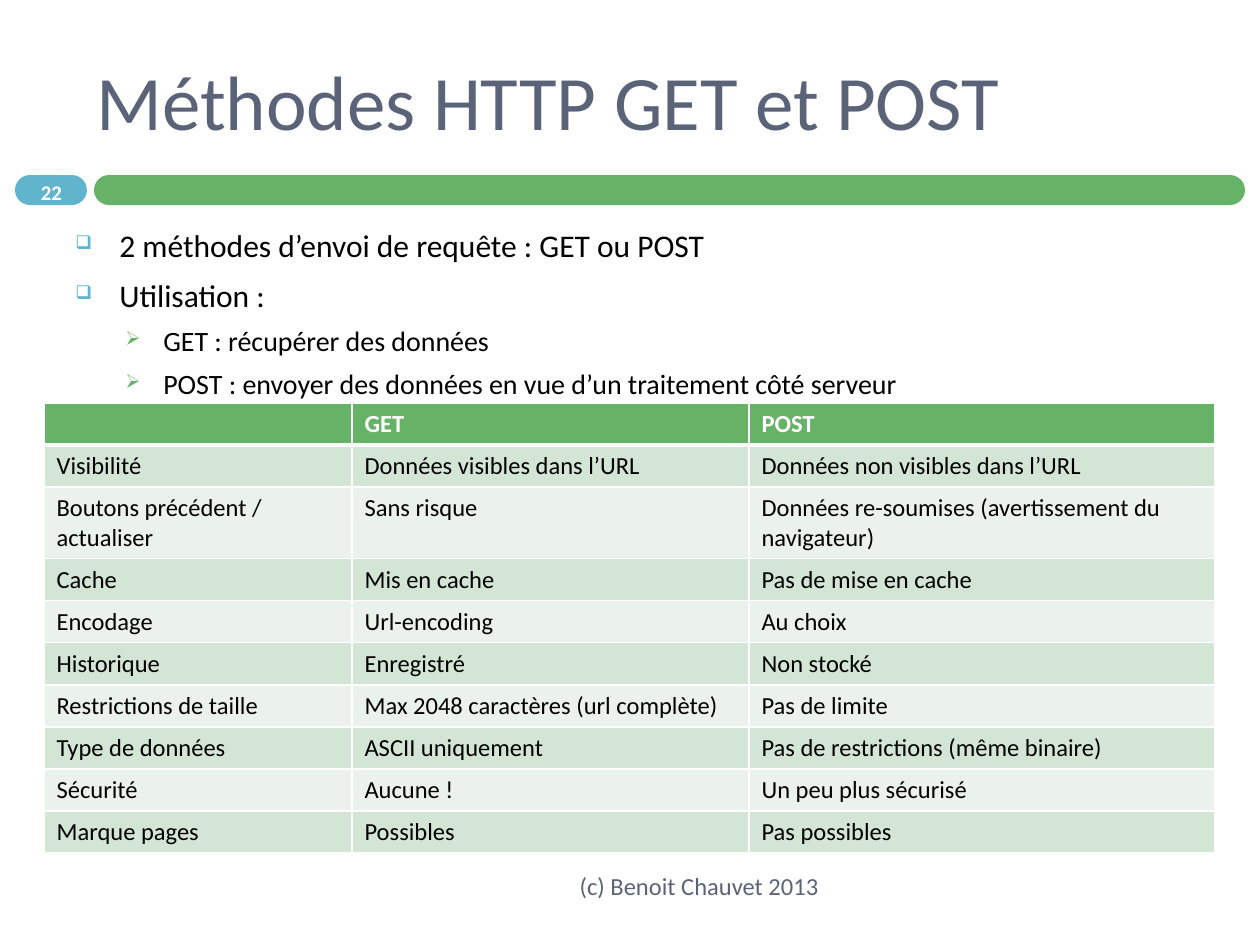
"""Build the slide comparing the HTTP GET and POST methods."""

from dataclasses import dataclass

from lxml.etree import SubElement
from pptx import Presentation
from pptx.dml.color import RGBColor
from pptx.enum.shapes import MSO_SHAPE
from pptx.enum.text import MSO_ANCHOR, PP_ALIGN
from pptx.oxml.ns import qn
from pptx.slide import Slide
from pptx.table import _Cell
from pptx.text.text import TextFrame, _Paragraph
from pptx.util import Emu, Pt

PX_PER_INCH = 126
FONT = "Calibri"
WHITE = RGBColor(0xFF, 0xFF, 0xFF)
BLACK = RGBColor(0, 0, 0)
SLATE = RGBColor(0x5A, 0x63, 0x78)
BLUE = RGBColor(0x60, 0xB5, 0xCC)
GREEN = RGBColor(0x66, 0xB3, 0x68)
BAND_DARK = RGBColor(0xD3, 0xE5, 0xD4)
BAND_LIGHT = RGBColor(0xEA, 0xF2, 0xEB)


@dataclass(frozen=True)
class Box:
    left: int
    top: int
    width: int
    height: int


@dataclass(frozen=True)
class Bar:
    box: Box
    color: RGBColor


@dataclass(frozen=True)
class Label:
    text: str
    box: Box
    size: float
    color: RGBColor
    alignment: PP_ALIGN = PP_ALIGN.LEFT
    bold: bool = False


@dataclass(frozen=True)
class BulletStyle:
    level: int
    symbol: str
    color: RGBColor
    scale: int
    margin: int
    indent: int
    size: int
    space_before: float


BARS = [
    Bar(Box(15, 175, 72, 30), BLUE),
    Bar(Box(94, 175, 1151, 30), GREEN),
]
LABELS = [
    Label("Méthodes HTTP GET et POST", Box(84, 31, 1124, 137), 44, SLATE),
    Label("22", Box(15, 175, 73, 34), 11.9, WHITE, PP_ALIGN.CENTER, True),
    Label("(c) Benoit Chauvet 2013", Box(84, 861, 747, 50), 14, SLATE, PP_ALIGN.RIGHT),
]
MAIN = BulletStyle(0, "❑", BLUE, 60, 44, -44, 18, 7)
DETAIL = BulletStyle(1, "➢", GREEN, 70, 88, -38, 16, 5.5)
BODY_BOX = Box(63, 220, 1134, 183)
BULLETS = [
    ("2 méthodes d’envoi de requête : GET ou POST", MAIN),
    ("Utilisation :", MAIN),
    ("GET : récupérer des données", DETAIL),
    ("POST : envoyer des données en vue d’un traitement côté serveur", DETAIL),
]
TABLE_LEFT, TABLE_TOP, ROW_HEIGHT = 44, 403, 42
COLUMN_WIDTHS = [308, 397, 466]
COMPARISON = [
    ("", "GET", "POST"),
    ("Visibilité", "Données visibles dans l’URL", "Données non visibles dans l’URL"),
    ("Boutons précédent / actualiser", "Sans risque",
     "Données re-soumises (avertissement du navigateur)"),
    ("Cache", "Mis en cache", "Pas de mise en cache"),
    ("Encodage", "Url-encoding", "Au choix"),
    ("Historique", "Enregistré", "Non stocké"),
    ("Restrictions de taille", "Max 2048 caractères (url complète)", "Pas de limite"),
    ("Type de données", "ASCII uniquement", "Pas de restrictions (même binaire)"),
    ("Sécurité", "Aucune !", "Un peu plus sécurisé"),
    ("Marque pages", "Possibles", "Pas possibles"),
]


def px(length: int) -> Emu:
    return Emu(round(length * 914400 / PX_PER_INCH))


def place(box: Box) -> tuple[Emu, Emu, Emu, Emu]:
    return px(box.left), px(box.top), px(box.width), px(box.height)


def format_runs(paragraph: _Paragraph, size: float, color: RGBColor, bold: bool = False) -> None:
    for run in paragraph.runs:
        run.font.name = FONT
        run.font.size = Pt(size)
        run.font.bold = bold
        run.font.color.rgb = color


def add_text_frame(slide: Slide, box: Box) -> TextFrame:
    text_frame = slide.shapes.add_textbox(*place(box)).text_frame
    text_frame.word_wrap = True
    return text_frame


def add_bar(slide: Slide, bar: Bar) -> None:
    shape = slide.shapes.add_shape(MSO_SHAPE.ROUNDED_RECTANGLE, *place(bar.box))
    shape.adjustments[0] = 0.5
    shape.shadow.inherit = False
    shape.fill.solid()
    shape.fill.fore_color.rgb = bar.color
    shape.line.fill.background()


def add_label(slide: Slide, label: Label) -> None:
    text_frame = add_text_frame(slide, label.box)
    text_frame.vertical_anchor = MSO_ANCHOR.MIDDLE
    text_frame.text = label.text
    paragraph = text_frame.paragraphs[0]
    paragraph.alignment = label.alignment
    format_runs(paragraph, label.size, label.color, label.bold)


def set_bullet(paragraph: _Paragraph, style: BulletStyle) -> None:
    properties = paragraph._p.get_or_add_pPr()
    properties.set("marL", str(px(style.margin)))
    properties.set("indent", str(px(style.indent)))
    color = SubElement(properties, qn("a:buClr"))
    SubElement(color, qn("a:srgbClr"), val=str(style.color))
    SubElement(properties, qn("a:buSzPct"), val=str(style.scale * 1000))
    SubElement(properties, qn("a:buChar"), char=style.symbol)
    paragraph.level = style.level


def add_bullets(slide: Slide) -> None:
    text_frame = add_text_frame(slide, BODY_BOX)
    text_frame.text = "\n".join(text for text, _ in BULLETS)
    for index, (paragraph, (_, style)) in enumerate(zip(text_frame.paragraphs, BULLETS)):
        set_bullet(paragraph, style)
        if index:
            paragraph.space_before = Pt(style.space_before)
        format_runs(paragraph, style.size, BLACK)


def set_borders(cell: _Cell, top: int, bottom: int) -> None:
    properties = cell._tc.get_or_add_tcPr()
    for side, width in (("L", 1), ("R", 1), ("T", top), ("B", bottom)):
        line = SubElement(properties, qn(f"a:ln{side}"), w=str(Pt(width)))
        fill = SubElement(line, qn("a:solidFill"))
        SubElement(fill, qn("a:srgbClr"), val=str(WHITE))


def fill_cell(cell: _Cell, text: str, row: int) -> None:
    header = row == 0
    cell.text = text
    paragraph = cell.text_frame.paragraphs[0]
    format_runs(paragraph, 14, WHITE if header else BLACK, header)
    if not text:
        SubElement(paragraph._p, qn("a:endParaRPr"), sz="1400")
    set_borders(cell, top=3 if row == 1 else 1, bottom=3 if header else 1)
    cell.fill.solid()
    cell.fill.fore_color.rgb = GREEN if header else BAND_DARK if row % 2 else BAND_LIGHT


def add_comparison(slide: Slide) -> None:
    box = Box(TABLE_LEFT, TABLE_TOP, sum(COLUMN_WIDTHS), ROW_HEIGHT * len(COMPARISON))
    table = slide.shapes.add_table(len(COMPARISON), len(COLUMN_WIDTHS), *place(box)).table
    for column, width in zip(table.columns, COLUMN_WIDTHS):
        column.width = px(width)
    for row, texts in enumerate(COMPARISON):
        for column, text in enumerate(texts):
            fill_cell(table.cell(row, column), text, row)


def main() -> None:
    presentation = Presentation()
    presentation.slide_width, presentation.slide_height = px(1260), px(945)
    slide = presentation.slides.add_slide(presentation.slide_layouts[6])
    for bar in BARS:
        add_bar(slide, bar)
    add_bullets(slide)
    add_comparison(slide)
    for label in LABELS:
        add_label(slide, label)
    presentation.save("out.pptx")


if __name__ == "__main__":
    main()
